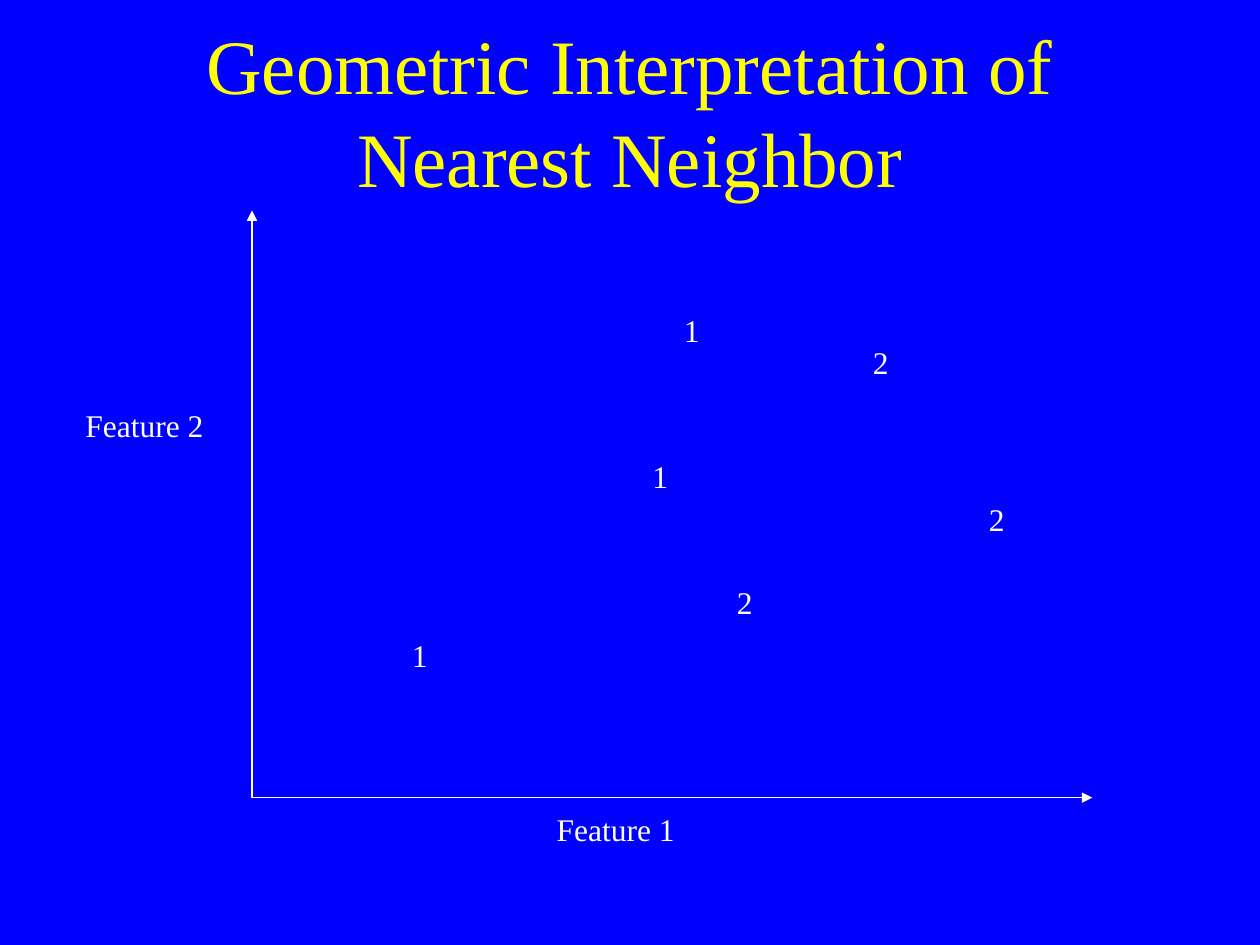
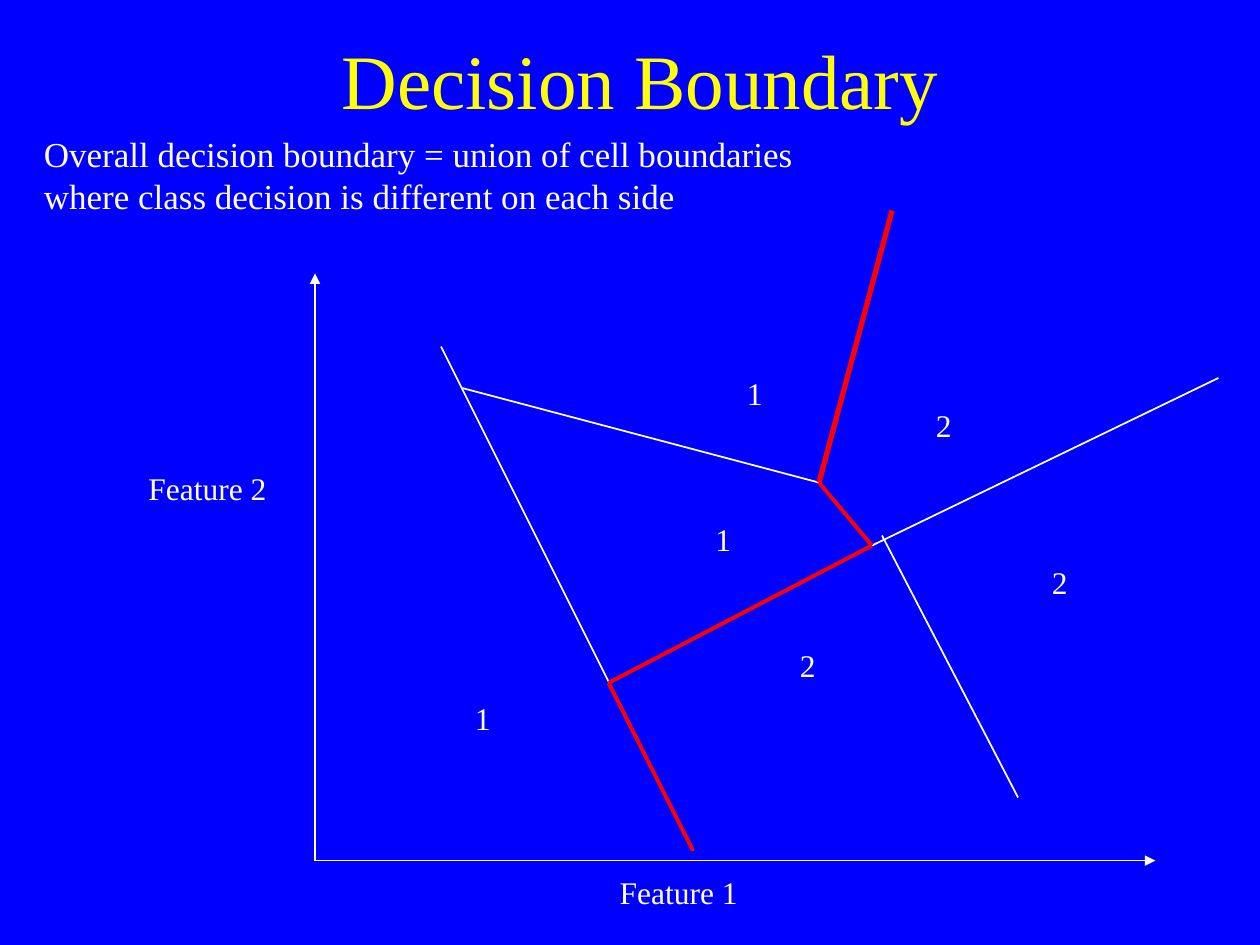
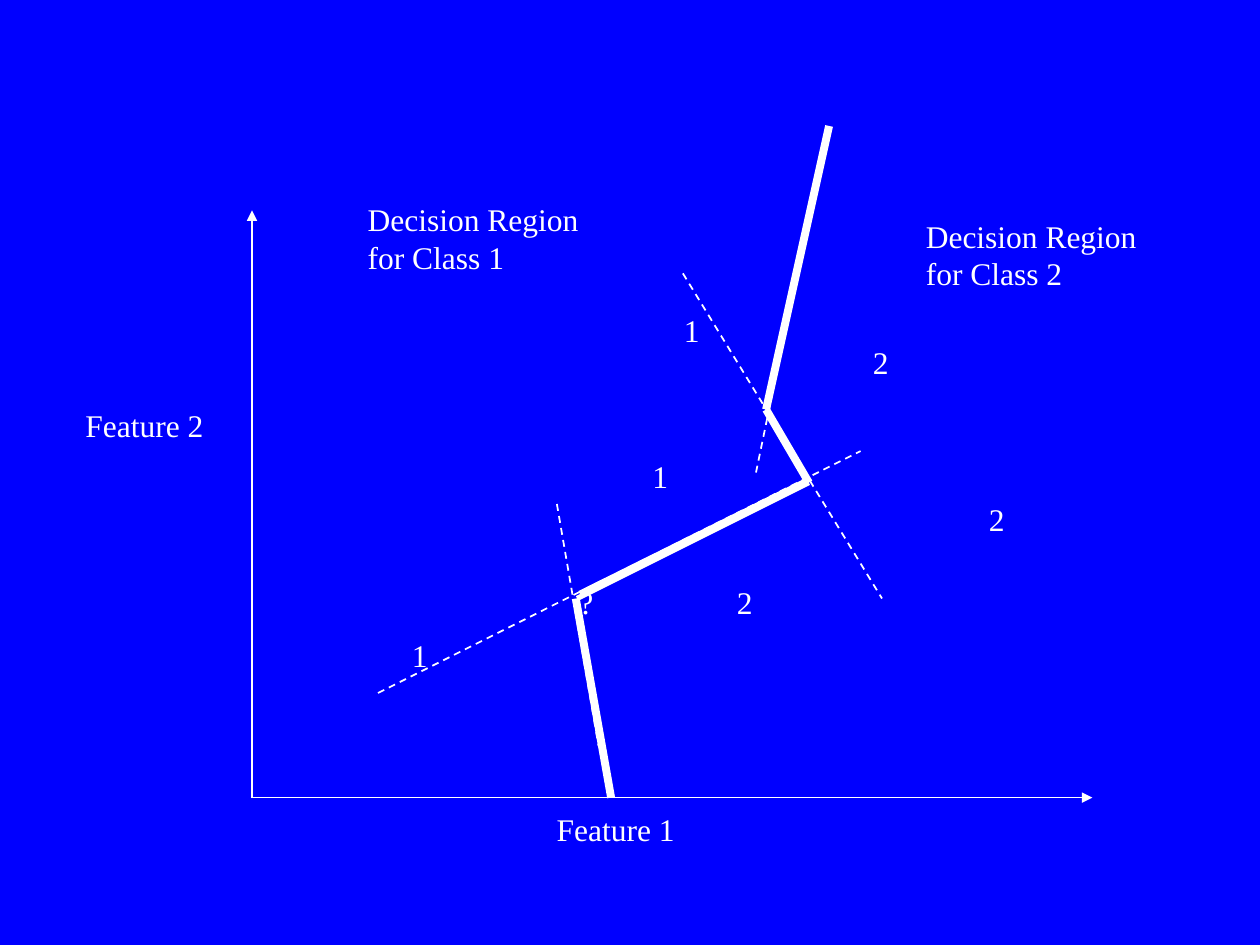
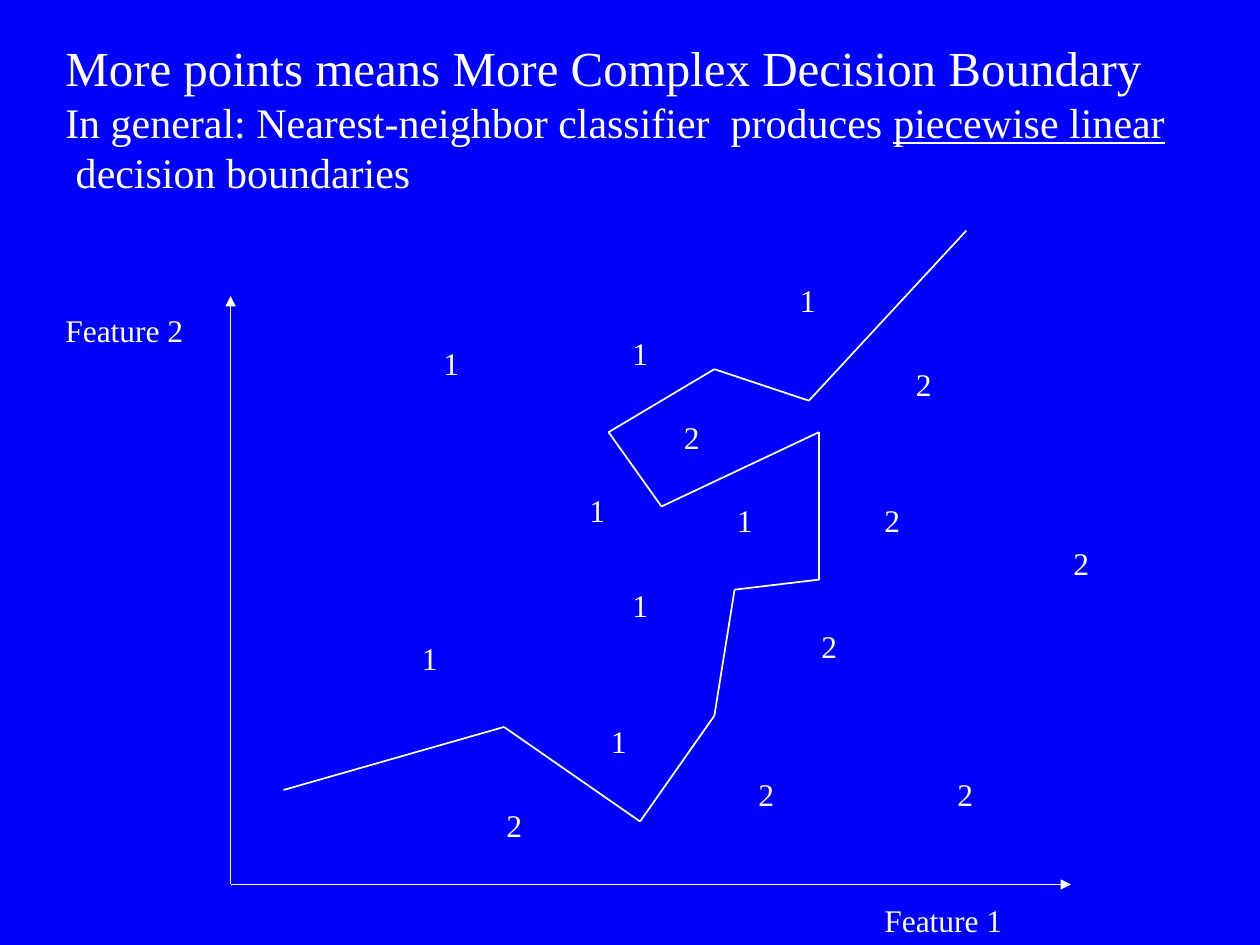
import itertools
from dataclasses import dataclass

import lxml.etree
import pptx
import pptx.dml.color
import pptx.enum.dml
import pptx.enum.shapes
import pptx.enum.text
import pptx.oxml.ns
import pptx.util

Inches = pptx.util.Inches
Color = pptx.dml.color.RGBColor


@dataclass(frozen=True)
class Theme:
    font: str = "Times New Roman"
    background: Color = Color(0x00, 0x00, 0xFF)
    ink: Color = Color(0xFF, 0xFF, 0xFF)
    title: Color = Color(0xFF, 0xFF, 0x00)
    boundary: Color = Color(0xFF, 0x00, 0x00)
    title_size: int = 44
    heading_size: int = 28
    subheading_size: int = 24
    note_size: int = 20
    label_size: int = 18
    thin: float = 1
    medium: float = 2.25
    thick: float = 3
    heavy: float = 4.5


THEME = Theme()
TITLE_ONLY, BLANK = 5, 6


@dataclass(frozen=True)
class Box:
    left: float
    top: float
    width: float
    height: float

    def at(self, point):
        """Turn a point measured from the box's top left into page inches."""
        return self.left + point[0], self.top + point[1]


# Plot areas: the two axes run along the left and bottom edges
PLOT = Box(2, 1.67, 6.67, 4.66)
LOWER_PLOT = Box(2.5, 2.17, 6.67, 4.66)
WIDE_PLOT = Box(1.83, 2.35, 6.67, 4.67)

# Positions of the class labels, relative to a plot area
FEW_POINTS = {
    "1": [(3.08, 1.91), (3.33, 0.75), (1.17, 3.33)],
    "2": [(5.75, 2.25), (4.83, 1), (3.75, 2.91)],
}
MANY_POINTS = {
    "1": [(3.92, 1.58), (3.09, 0.25), (3.09, 2.25), (4.42, -0.17),
          (2.75, 1.5), (1.59, 0.33), (2.92, 3.33), (1.42, 2.67)],
    "2": [(3.5, 0.92), (5.67, 3.75), (5.09, 1.58), (6.59, 1.92),
          (5.34, 0.5), (4.59, 2.58), (4.09, 3.75), (2.09, 4)],
}


# Shared parts
def style_font(para, size, color=THEME.ink):
    para.font.name = THEME.font
    para.font.size = pptx.util.Pt(size)
    para.font.color.rgb = color


def add_title(page, text, box):
    title = page.shapes.title
    title.left, title.top = Inches(box.left), Inches(box.top)
    title.width, title.height = Inches(box.width), Inches(box.height)
    frame = title.text_frame
    frame.text = text
    frame.auto_size = pptx.enum.text.MSO_AUTO_SIZE.NONE
    frame.vertical_anchor = pptx.enum.text.MSO_ANCHOR.MIDDLE
    frame.paragraphs[0].alignment = pptx.enum.text.PP_ALIGN.CENTER
    style_font(frame.paragraphs[0], THEME.title_size, THEME.title)


def add_text(page, text, box, size=THEME.label_size, wrap=False):
    shape = page.shapes.add_textbox(Inches(box.left), Inches(box.top),
                                    Inches(box.width), Inches(box.height))
    frame = shape.text_frame
    frame.text = text
    frame.word_wrap = wrap
    frame.auto_size = pptx.enum.text.MSO_AUTO_SIZE.SHAPE_TO_FIT_TEXT
    for para in frame.paragraphs:
        style_font(para, size)
    return frame


def add_label(page, text, plot, point, width=0.33, height=0.4):
    add_text(page, text, Box(*plot.at(point), width, height))


def add_line(page, plot, start, end, color=THEME.ink, weight=THEME.thin,
             dashed=False, arrow=False):
    ends = [Inches(value) for value in plot.at(start) + plot.at(end)]
    connector = page.shapes.add_connector(
        pptx.enum.shapes.MSO_CONNECTOR.STRAIGHT, *ends)
    line = connector.line
    line.color.rgb = color
    line.width = pptx.util.Pt(weight)
    if dashed:
        line.dash_style = pptx.enum.dml.MSO_LINE.DASH
    qualified = pptx.oxml.ns.qn
    properties = connector._element.spPr
    if arrow:
        lxml.etree.SubElement(properties.find(qualified("a:ln")),
                              qualified("a:tailEnd"), type="triangle")
    lxml.etree.SubElement(properties, qualified("a:effectLst"))


def add_plot(page, plot, points, feature_1=(2.32, 4.71), feature_2=(-1.42, 1.5)):
    # Axes
    origin = (0, plot.height)
    for tip in ((0, 0), (plot.width, plot.height)):
        add_line(page, plot, origin, tip, arrow=True)
    # Class labels
    for name, places in points.items():
        for place in places:
            add_label(page, name, plot, place)
    # Axis names
    add_label(page, "Feature 1", plot, feature_1, width=1.14)
    add_label(page, "Feature 2", plot, feature_2, width=1.14)


# Slides
def build_interpretation(deck):
    page = deck.slides.add_slide(deck.slide_layouts[TITLE_ONLY])
    add_title(page, "Geometric Interpretation of Nearest Neighbor",
              Box(0.75, 0.25, 8.5, 1.25))
    add_plot(page, PLOT, FEW_POINTS)


def build_boundary(deck, plot=LOWER_PLOT):
    page = deck.slides.add_slide(deck.slide_layouts[TITLE_ONLY])
    add_title(page, "Decision Boundary", Box(0.83, 0, 8.5, 1.25))
    add_plot(page, plot, FEW_POINTS)

    # Cell boundaries
    upper, right, left, bottom = (4, 1.66), (4.42, 2.16), (2.33, 3.25), (3, 4.58)
    for start, end in (((1.17, 0.91), upper), (right, (7.17, 0.83)),
                       ((1, 0.58), bottom), ((4.5, 2.08), (5.58, 4.16))):
        add_line(page, plot, start, end)

    # Decision boundary
    add_line(page, plot, upper, (4.58, -0.5), THEME.boundary, THEME.thick)
    for start, end in itertools.pairwise((upper, right, left, bottom)):
        add_line(page, plot, start, end, THEME.boundary, THEME.medium)

    add_text(page, "Overall decision boundary = union of cell boundaries "
             "where class decision is different on each side",
             Box(0.25, 1, 6.5, 0.77), THEME.note_size, wrap=True)


def build_regions(deck, plot=PLOT):
    page = deck.slides.add_slide(deck.slide_layouts[BLANK])
    add_plot(page, plot, FEW_POINTS)
    add_label(page, "?", plot, (2.5, 2.91), width=0.31)

    # Bisectors between neighbouring points
    for start, end in (((4, 2.08), (4.5, -0.34)), ((3.42, 0.5), (5, 3.08)),
                       ((1, 3.83), (4.83, 1.91)), ((2.42, 2.33), (2.75, 4.25))):
        add_line(page, plot, start, end, dashed=True)

    # Decision boundary
    for start, end, weight in (
            ((2.57, 3.08), (2.85, 4.66), THEME.heavy),
            ((2.58, 3.08), (4.42, 2.16), THEME.thick),
            ((2.6, 3.04), (4.43, 2.13), THEME.thick),
            ((4.42, 2.16), (4.08, 1.58), THEME.heavy),
            ((4.08, 1.58), (4.58, -0.67), THEME.heavy)):
        add_line(page, plot, start, end, weight=weight)

    # Region names
    for name, place in (("1", (0.82, -0.13)), ("2", (5.25, 0))):
        add_label(page, f"Decision Region\nfor Class {name}", plot, place,
                  width=1.94, height=0.7)


def build_complex_boundary(deck, plot=WIDE_PLOT):
    page = deck.slides.add_slide(deck.slide_layouts[BLANK])
    add_plot(page, plot, MANY_POINTS, (5.09, 4.75), (-1.41, 0.07))

    # Decision boundary
    corners = ((0.42, 3.92), (2.17, 3.42), (3.25, 4.17), (3.84, 3.33),
               (4, 2.33), (4.67, 2.25), (4.67, 1.08), (3.42, 1.67),
               (3, 1.08), (3.84, 0.58), (4.59, 0.83), (5.84, -0.52))
    for start, end in itertools.pairwise(corners):
        add_line(page, plot, start, end)

    # Heading with its conclusion
    frame = add_text(page, "More points means More Complex Decision Boundary",
                     Box(0.42, 0.25, 9, 1.37), THEME.heading_size, wrap=True)
    para = frame.add_paragraph()
    style_font(para, THEME.subheading_size)
    for text, underlined in (
            ("In general: Nearest-neighbor classifier  produces ", False),
            ("piecewise linear", True),
            ("  decision boundaries", False)):
        span = para.add_run()
        span.text = text
        span.font.underline = underlined


def main():
    deck = pptx.Presentation()
    deck.slide_width, deck.slide_height = Inches(10), Inches(7.5)
    fill = deck.slide_master.background.fill
    fill.solid()
    fill.fore_color.rgb = THEME.background

    build_interpretation(deck)
    build_boundary(deck)
    build_regions(deck)
    build_complex_boundary(deck)
    deck.save("out.pptx")


if __name__ == "__main__":
    main()
